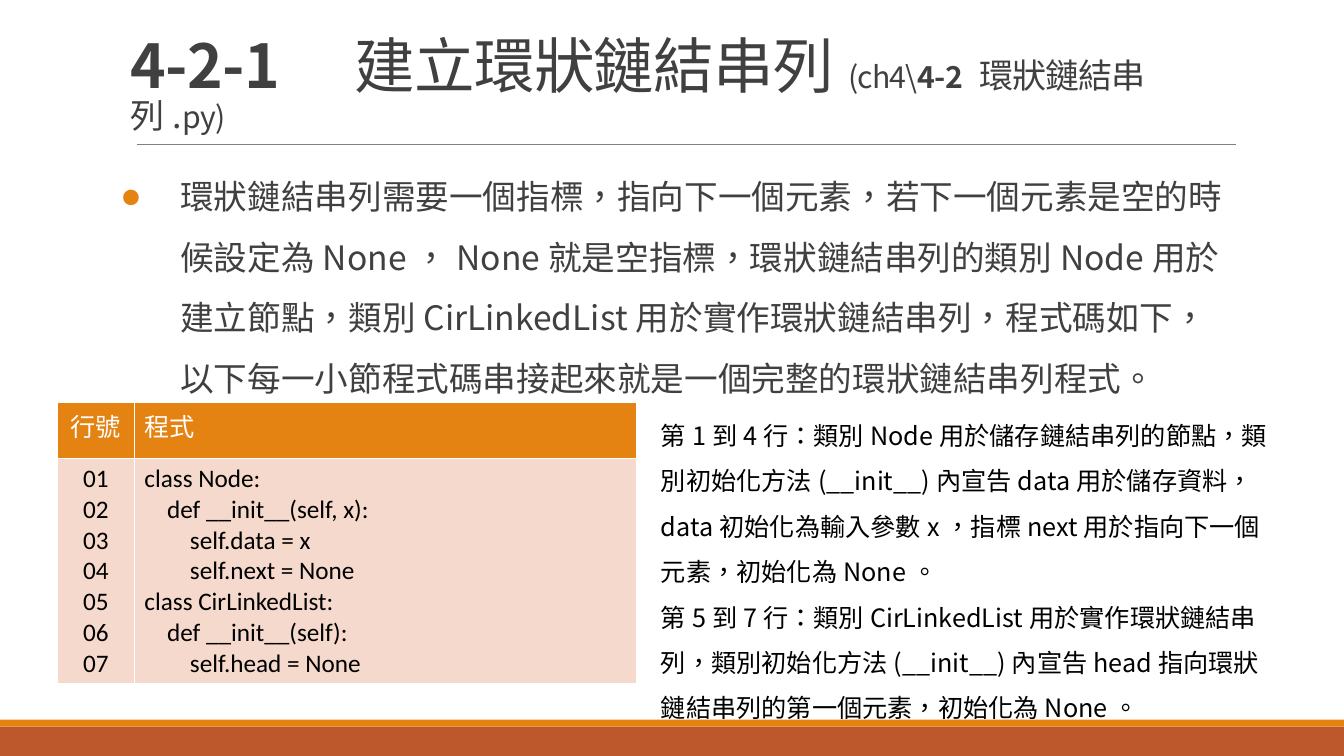
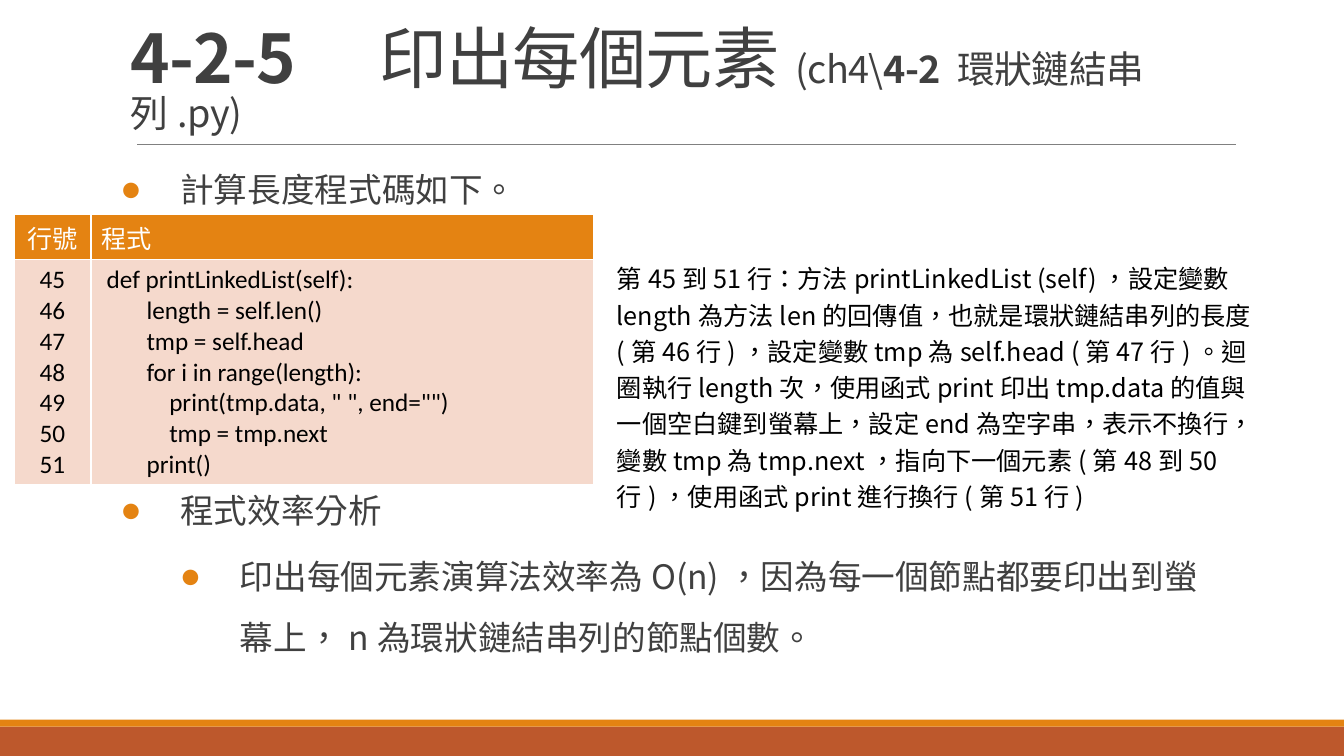
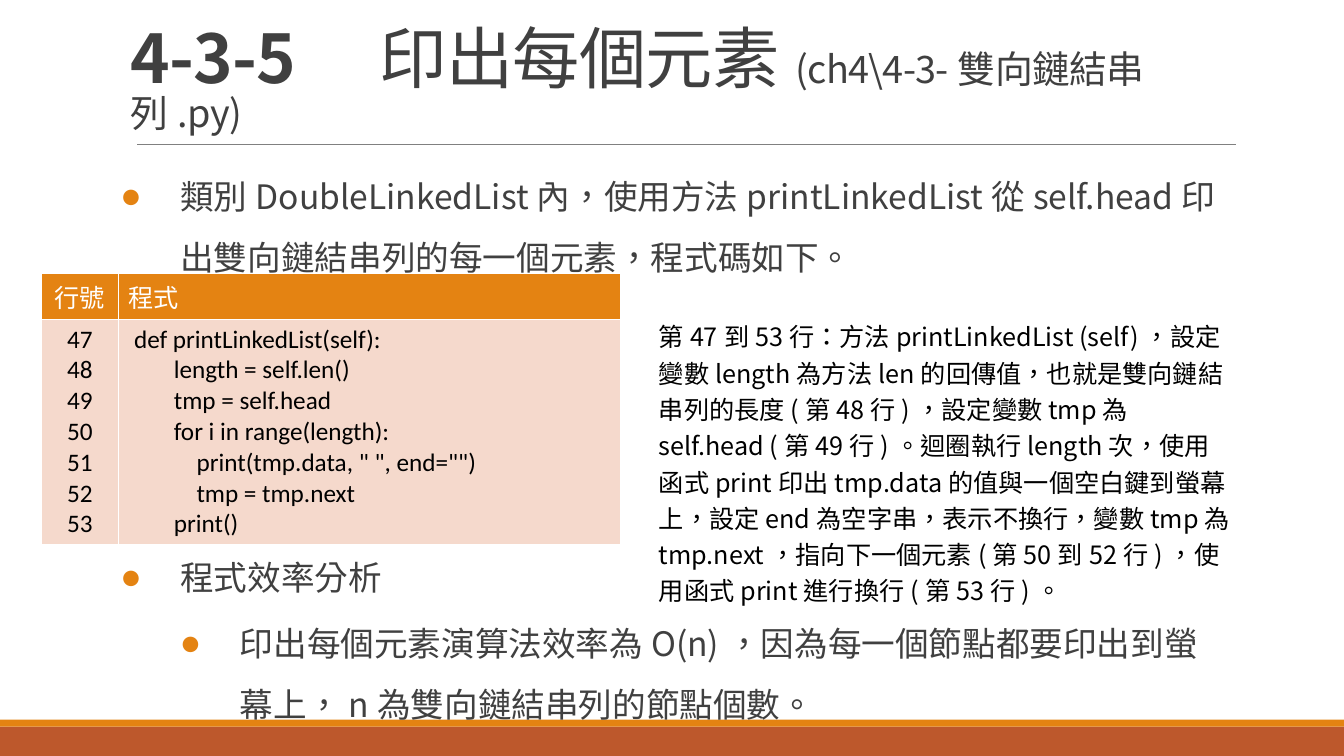
from dataclasses import dataclass
from typing import Any

import lxml.etree
import pptx
import pptx.dml.color
import pptx.enum.shapes
import pptx.enum.text
import pptx.oxml.ns
import pptx.util

Pt = pptx.util.Pt
qn = pptx.oxml.ns.qn
ALIGN = pptx.enum.text.PP_ALIGN

COLOURS = {
    "band": "BD582C",
    "accent": "E48312",
    "rule": "808080",
    "text": "404040",
    "code": "000000",
    "code_fill": "F5D9CC",
    "white": "FFFFFF",
}
CJK_FONT = "Noto Sans CJK SC"
CODE_FONT = "Calibri"
PAGE_WIDTH, PAGE_HEIGHT = 960, 540
LINE_HEIGHT = 1.2  # single line, as a multiple of the text size
BODY_SIZE, SMALL_SIZE = 24, 18
BULLET_INDENT = 42.5
NUMBER_WIDTH, CODE_WIDTH, CODE_HEIGHT = 55, 359, 161
BODY_LEFT, BODY_WIDTH = 86.4, 792


@dataclass
class Span:
    text: str
    size: float
    bold: bool = False


@dataclass
class Bullet:
    text: str
    level: int = 0


@dataclass
class BulletBox:
    top: float
    height: float
    bullets: list[Bullet]


@dataclass
class Listing:
    left: float
    top: float
    header_height: float
    first_line: int
    code: list[str]


@dataclass
class Note:
    left: float
    top: float
    width: float
    height: float
    spacing: float
    paragraphs: list[str]


@dataclass
class Lesson:
    title: list[Span]
    title_line_size: float
    bullet_boxes: list[BulletBox]
    listing: Listing
    note: Note


# Content
PRINT_CODE = [
    " def printLinkedList(self):",
    "        length = self.len()",
    "        tmp = self.head",
    "        for i in range(length):",
    "            print(tmp.data, \" \", end=\"\")",
    "            tmp = tmp.next",
    "        print()",
]


def efficiency_bullets(kind: str) -> list[Bullet]:
    return [
        Bullet("程式效率分析"),
        Bullet("印出每個元素演算法效率為O(n)，因為每一個節點都要印出到螢幕上，"
               f"n為{kind}鏈結串列的節點個數。", 1),
    ]


def print_note(kind: str, first: int, ending: str) -> str:
    return (
        f"第{first}到{first + 6}行：方法printLinkedList (self)，設定變數length為方法len的回傳值，"
        f"也就是{kind}鏈結串列的長度(第{first + 1}行)，設定變數tmp為self.head (第{first + 2}行)。"
        "迴圈執行length次，使用函式print印出tmp.data的值與一個空白鍵到螢幕上，"
        "設定end為空字串，表示不換行，變數tmp為tmp.next，"
        f"指向下一個元素(第{first + 3}到{first + 5}行)，使用函式print進行換行(第{first + 6}行){ending}"
    )


LESSONS = [
    Lesson(
        [Span("4-2-1　", 43.2, True), Span("建立環狀鏈結串列", 43.2), Span("(ch4\\", 21.6),
         Span("4-2", 21.6, True), Span(" ", 24.3, True), Span("環狀鏈結串列.", 24.3),
         Span("py)", 21.6)],
        24.3,
        [BulletBox(108, 180, [Bullet(
            "環狀鏈結串列需要一個指標，指向下一個元素，若下一個元素是空的時候設定為None，"
            "None就是空指標，環狀鏈結串列的類別Node用於建立節點，類別CirLinkedList用於實作"
            "環狀鏈結串列，程式碼如下，以下每一小節程式碼串接起來就是一個完整的環狀鏈結串列程式。")])],
        Listing(41, 287.5, 40, 1, [
            "class Node:",
            "    def __init__(self, x):",
            "        self.data = x",
            "        self.next = None",
            "class CirLinkedList:",
            "    def __init__(self):",
            "        self.head = None",
        ]),
        Note(465, 286, 454, 236, 1.5, [
            "第1到4行：類別Node用於儲存鏈結串列的節點，類別初始化方法(__init__)內宣告data"
            "用於儲存資料，data初始化為輸入參數x，指標next用於指向下一個元素，初始化為None。",
            "第5到7行：類別CirLinkedList用於實作環狀鏈結串列，類別初始化方法(__init__)內宣告head"
            "指向環狀鏈結串列的第一個元素，初始化為None。"]),
    ),
    Lesson(
        [Span("4-2-5　", 48, True), Span("印出每個元素", 48), Span("(ch4\\", 27),
         Span("4-2 ", 27, True), Span("環狀鏈結串列.py)", 27)],
        27,
        [BulletBox(103, 50, [Bullet("計算長度程式碼如下。")]),
         BulletBox(332, 142, efficiency_bullets("環狀"))],
        Listing(10, 153, 32.5, 45, PRINT_CODE),
        Note(433.5, 180.5, 478, 188, 1.2, [print_note("環狀", 45, "")]),
    ),
    Lesson(
        [Span("4-3-5　", 48, True), Span("印出每個元素", 48),
         Span("(ch4\\4-3-雙向鏈結串列.py)", 27)],
        27,
        [BulletBox(108, 95, [Bullet(
            "類別DoubleLinkedList內，使用方法printLinkedList從self.head"
            "印出雙向鏈結串列的每一個元素，程式碼如下。")]),
         BulletBox(380, 142, efficiency_bullets("雙向"))],
        Listing(29.5, 195.5, 32.5, 47, PRINT_CODE),
        Note(463.5, 222, 425.5, 188, 1.2, [print_note("雙向", 47, "。")]),
    ),
]


# Helpers
def colour(name: str) -> pptx.dml.color.RGBColor:
    return pptx.dml.color.RGBColor.from_string(COLOURS[name])


def set_all(target: Any, values: dict[str, Any]) -> None:
    for name, value in values.items():
        setattr(target, name, value)


def add_span(para: Any, text: str, size: float, ink: str,
             font: str = CJK_FONT, bold: bool = False) -> Any:
    span = para.add_run()
    span.text = text
    set_all(span.font, {"size": Pt(size), "bold": bold, "name": font})
    span.font.color.rgb = colour(ink)
    properties = span.font._element
    properties.set("lang", "zh-TW")
    lxml.etree.SubElement(properties, qn("a:ea"), typeface=CJK_FONT)
    return span


def add_box(page: Any, left: float, top: float, width: float, height: float,
            side_margin: float = 7.2) -> Any:
    frame = page.shapes.add_textbox(Pt(left), Pt(top), Pt(width), Pt(height)).text_frame
    set_all(frame, {"word_wrap": True, "margin_left": Pt(side_margin),
                    "margin_right": Pt(side_margin)})
    return frame


def next_para(frame: Any, index: int) -> Any:
    return frame.add_paragraph() if index else frame.paragraphs[0]


def line_pitch(size: float, spacing: float) -> Any:
    return Pt(round(size * LINE_HEIGHT * spacing, 1))


# Parts of a page
def draw_frame(page: Any) -> None:
    for top, height, fill in ((519, 21, "band"), (514, 5, "accent")):
        band = page.shapes.add_shape(pptx.enum.shapes.MSO_SHAPE.RECTANGLE,
                                     0, Pt(top), Pt(PAGE_WIDTH), Pt(height))
        band.shadow.inherit = False
        band.fill.solid()
        band.fill.fore_color.rgb = colour(fill)
        band.line.fill.background()
    rule = page.shapes.add_connector(pptx.enum.shapes.MSO_CONNECTOR.STRAIGHT,
                                     Pt(98), Pt(103), Pt(883), Pt(103))
    rule.line.color.rgb = colour("rule")
    rule.line.width = Pt(0.5)
    lxml.etree.SubElement(rule._element.spPr, qn("a:effectLst"))


def draw_title(page: Any, spans: list[Span], line_size: float) -> None:
    frame = add_box(page, BODY_LEFT, 22.5, BODY_WIDTH, 77.5)
    frame.vertical_anchor = pptx.enum.text.MSO_ANCHOR.BOTTOM
    para = frame.paragraphs[0]
    para.line_spacing = line_pitch(line_size, 0.85)
    for item in spans:
        span = add_span(para, item.text, item.size, "text", bold=item.bold)
        span.font._element.set("spc", "-50")


def draw_bullets(page: Any, block: BulletBox) -> None:
    frame = add_box(page, BODY_LEFT, block.top, BODY_WIDTH, block.height, 0)
    for index, bullet in enumerate(block.bullets):
        para = next_para(frame, index)
        before, after = (2, 4) if bullet.level else (12, 2)
        set_all(para, {"level": bullet.level, "line_spacing": line_pitch(BODY_SIZE, 1.5),
                       "space_before": Pt(before if index else 0), "space_after": Pt(after)})
        properties = para._p.get_or_add_pPr()
        properties.set("marL", str(Pt(BULLET_INDENT * (bullet.level + 1))))
        properties.set("indent", str(-Pt(BULLET_INDENT)))
        ink = lxml.etree.SubElement(properties, qn("a:buClr"))
        lxml.etree.SubElement(ink, qn("a:srgbClr"), val=COLOURS["accent"])
        lxml.etree.SubElement(properties, qn("a:buFont"), typeface=CODE_FONT)
        lxml.etree.SubElement(properties, qn("a:buChar"), char="●")
        add_span(para, bullet.text, BODY_SIZE, "text")


def fill_cell(cell: Any, lines: list[str], ink: str, fill: str, align: Any) -> None:
    for index, line in enumerate(lines):
        para = next_para(cell.text_frame, index)
        para.alignment = align
        add_span(para, line, SMALL_SIZE, ink, CODE_FONT)
    properties = cell._tc.get_or_add_tcPr()
    for side in ("lnL", "lnR", "lnT", "lnB"):
        border = lxml.etree.SubElement(properties, qn(f"a:{side}"), w=str(Pt(1)))
        solid = lxml.etree.SubElement(border, qn("a:solidFill"))
        lxml.etree.SubElement(solid, qn("a:srgbClr"), val=COLOURS["white"])
    cell.fill.solid()
    cell.fill.fore_color.rgb = colour(fill)


def draw_listing(page: Any, listing: Listing) -> None:
    table = page.shapes.add_table(
        2, 2, Pt(listing.left), Pt(listing.top), Pt(NUMBER_WIDTH + CODE_WIDTH),
        Pt(listing.header_height + CODE_HEIGHT)).table
    for row, height in zip(table.rows, (listing.header_height, CODE_HEIGHT)):
        row.height = Pt(height)
    numbers = [f"{listing.first_line + step:02d}" for step in range(len(listing.code))]
    columns = (("行號", numbers, NUMBER_WIDTH, ALIGN.CENTER),
               ("程式", listing.code, CODE_WIDTH, ALIGN.LEFT))
    for index, (heading, lines, width, align) in enumerate(columns):
        table.columns[index].width = Pt(width)
        fill_cell(table.cell(0, index), [heading], "white", "accent", align)
        fill_cell(table.cell(1, index), lines, "code", "code_fill", align)


def draw_note(page: Any, note: Note) -> None:
    frame = add_box(page, note.left, note.top, note.width, note.height)
    for index, text in enumerate(note.paragraphs):
        para = next_para(frame, index)
        para.line_spacing = line_pitch(SMALL_SIZE, note.spacing)
        add_span(para, text, SMALL_SIZE, "code")


def main() -> None:
    deck = pptx.Presentation()
    set_all(deck, {"slide_width": Pt(PAGE_WIDTH), "slide_height": Pt(PAGE_HEIGHT)})
    for lesson in LESSONS:
        page = deck.slides.add_slide(deck.slide_layouts[6])
        draw_frame(page)
        draw_title(page, lesson.title, lesson.title_line_size)
        for block in lesson.bullet_boxes:
            draw_bullets(page, block)
        draw_listing(page, lesson.listing)
        draw_note(page, lesson.note)
    deck.save("out.pptx")


if __name__ == "__main__":
    main()
